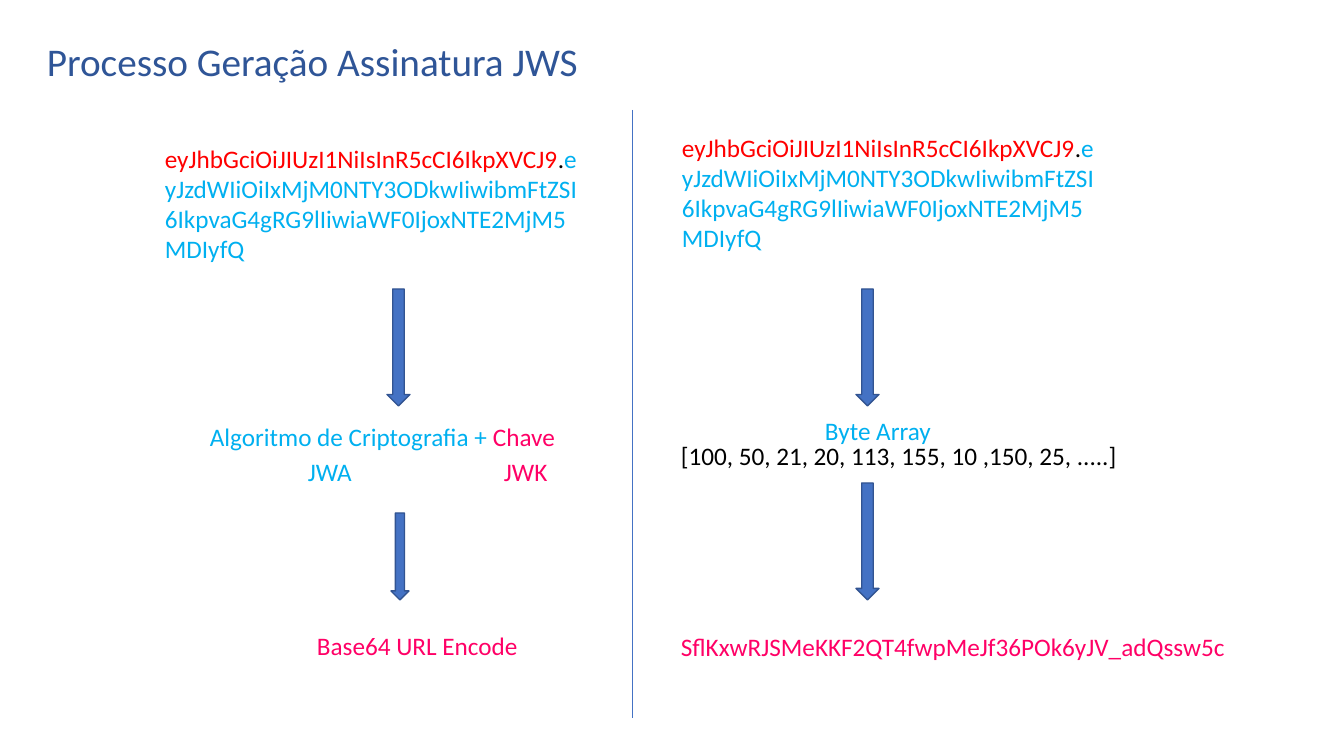
from dataclasses import dataclass

from lxml.etree import SubElement
from pptx import Presentation
from pptx.dml.color import RGBColor as Rgb
from pptx.enum.shapes import MSO_CONNECTOR as Link, MSO_SHAPE as Form
from pptx.enum.text import MSO_AUTO_SIZE as Fit
from pptx.oxml.ns import qn
from pptx.util import Pt

SCALE = 9071  # EMU per pixel at 100.8 pixels to the inch


@dataclass(frozen=True)
class Theme:
    """Colours, font and type sizes of the slide."""
    font: str = "Calibri"
    head: int = 28
    body: int = 18
    title: str = "2F5597"
    red: str = "FF0000"
    cyan: str = "00B0F0"
    pink: str = "FF0066"
    black: str = "000000"
    arrow: str = "4472C4"
    edge: str = "325491"


LOOK = Theme()
TOKEN = [
    ("eyJhbGciOiJIUzI1NiIsInR5cCI6IkpXVCJ9", LOOK.red),
    (".", LOOK.black),
    ("eyJzdWIiOiIxMjM0NTY3ODkwIiwibmFtZSI6IkpvaG4gRG9lIiwi"
     "aWF0IjoxNTE2MjM5MDIyfQ", LOOK.cyan),
]


def emu(*sizes):
    """Turn pixels into EMU."""
    return [size * SCALE for size in sizes]


def add_text(slide, x, y, wide, runs, high=40, size=LOOK.body, wrap=False):
    """Add a text box holding one paragraph of (words, colour) runs."""
    frame = slide.shapes.add_textbox(*emu(x, y, wide, high)).text_frame
    frame.word_wrap = wrap
    frame.auto_size = Fit.SHAPE_TO_FIT_TEXT
    for words, color in runs:
        run = frame.paragraphs[0].add_run()
        run.text = words
        run.font.name = LOOK.font
        run.font.size = Pt(size)
        run.font.color.rgb = Rgb.from_string(color)


def add_token(slide, x, y):
    """Add the wrapped header and payload token."""
    add_text(slide, x, y, 439, TOKEN, high=132, wrap=True)


def add_arrow(slide, x, y, wide=23, high=117):
    """Add a block arrow that points down."""
    arrow = slide.shapes.add_shape(Form.DOWN_ARROW, *emu(x, y, wide, high))
    arrow.shadow.inherit = False
    arrow.fill.solid()
    arrow.fill.fore_color.rgb = Rgb.from_string(LOOK.arrow)
    arrow.line.color.rgb = Rgb.from_string(LOOK.edge)
    arrow.line.width = Pt(1)


def add_title(slide, x, y):
    """Add the slide title."""
    add_text(slide, x, y, 557, [("Processo Geração Assinatura JWS", LOOK.title)],
             high=57, size=LOOK.head)


def add_rule(slide, x, y, high):
    """Add the thin rule between the two flows."""
    rule = slide.shapes.add_connector(Link.STRAIGHT, *emu(x, y, x, y + high))
    rule.line.color.rgb = Rgb.from_string(LOOK.arrow)
    rule.line.width = Pt(0.5)
    SubElement(rule._element.spPr, qn("a:effectLst"))


def add_steps(slide, x, y):
    """Add the left flow: token, algorithm with key, encoding."""
    add_token(slide, x + 155, y + 28)
    add_arrow(slide, x + 387, y + 179)
    add_text(slide, x + 200, y + 306, 375,
             [("Algoritmo de Criptografia + ", LOOK.cyan), ("Chave", LOOK.pink)])
    for left, name, color in ((298, "JWA", LOOK.cyan), (494, "JWK", LOOK.pink)):
        add_text(slide, x + left, y + 341, 65, [(name, color)])
    add_arrow(slide, x + 391, y + 403, 18, 87)
    add_text(slide, x + 307, y + 515, 223, [("Base64 URL Encode", LOOK.pink)])


def add_values(slide, x, y):
    """Add the right flow: token, byte array, signature."""
    add_token(slide, x + 40, y + 17)
    for top in (179, 373):
        add_arrow(slide, x + 224, y + top)
    add_text(slide, x + 183, y + 300, 127, [("Byte Array", LOOK.cyan)])
    add_text(slide, x + 39, y + 325, 462,
             [("[100, 50, 21, 20, 113, 155, 10 ,150, 25, .....]", LOOK.black)])
    add_text(slide, x + 39, y + 516, 570,
             [("SflKxwRJSMeKKF2QT4fwpMeJf36POk6yJV_adQssw5c", LOOK.pink)])


def main():
    """Build the slide and save it."""
    deck = Presentation()
    deck.slide_width, deck.slide_height = emu(1344, 756)
    slide = deck.slides.add_slide(deck.slide_layouts[6])
    top, mid = 110, 632
    add_title(slide, 37, 32)
    add_steps(slide, 0, top)
    add_rule(slide, mid, top, 608)
    add_values(slide, mid, top)
    deck.save("out.pptx")


main()
